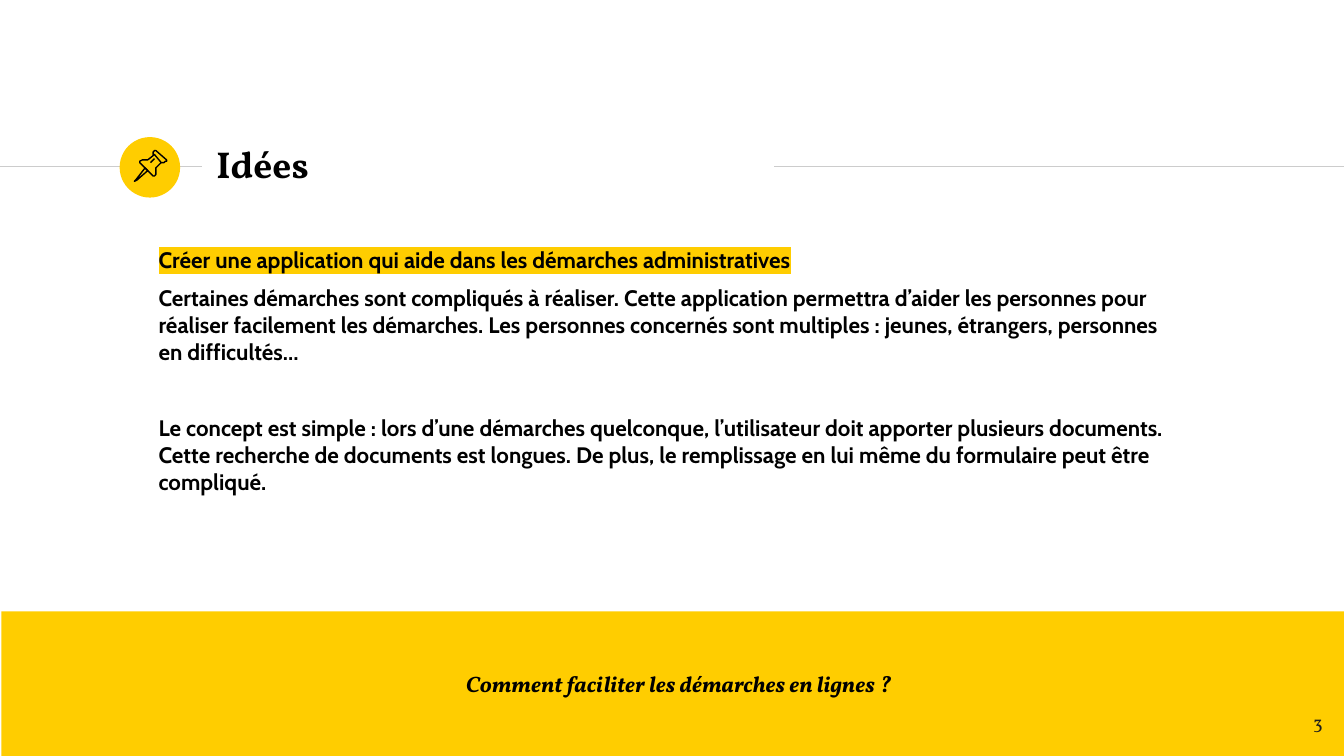
import pptx
import pptx.util
import pptx.dml.color
import pptx.enum.shapes
import pptx.enum.text
import pptx.oxml.ns
import lxml.etree

COLORS = {"yellow": "FFCD00", "rule": "CCCCCC", "ink": "000000", "number": "1D1D1B"}
W = 10
H = W * 9 / 16
RULE_Y = 1.24
BAND_TOP = 4.55

TITLE = "Idées"
IDEAS = [
    ("Créer une application qui aide dans les démarches administratives", {"highlight": "yellow"}),
    ("Certaines démarches sont compliqués à réaliser. Cette application permettra d’aider "
     "les personnes pour réaliser facilement les démarches. Les personnes concernés sont "
     "multiples : jeunes, étrangers, personnes en difficultés…", {}),
    ("Le concept est simple : lors d’une démarches quelconque, l’utilisateur doit apporter "
     "plusieurs documents. Cette recherche de documents est longues. De plus, le remplissage "
     "en lui même du formulaire peut être compliqué.", {"before": 26.5}),
]
QUESTION = "Comment faciliter les démarches en lignes ?"
PAGE = "3"
RULES = [(0, 1.5), (5.76, W)]
PIN_UNIT = 0.01
PIN = {
    "needle": ([(108, 125), (101, 134), (100, 135), (102, 134), (110, 127)], True),
    "head": ([(115, 115), (120, 121), (122, 121), (123, 120), (124, 120),
              (124, 119), (116, 112), (115, 112), (114, 113), (114, 115)], True),
    "body": ([(115, 115), (110, 119), (108, 119), (106, 119), (104, 120),
              (104, 121), (114, 131), (115, 131), (116, 130), (116, 128),
              (116, 125), (120, 121)], False),
    "shine": ([(112, 121), (115, 118)], False),
}

ALIGN = pptx.enum.text.PP_ALIGN
ANCHOR = pptx.enum.text.MSO_ANCHOR
SHAPE = pptx.enum.shapes.MSO_SHAPE
inch = pptx.util.Inches
qn = pptx.oxml.ns.qn


def rgb(name):
    return pptx.dml.color.RGBColor.from_string(COLORS[name])


def place(sp, x, y, w, h, anchor=ANCHOR.TOP):
    sp.left, sp.top, sp.width, sp.height = map(inch, (x, y, w, h))
    tf = sp.text_frame
    tf.word_wrap = True
    tf.auto_size = pptx.enum.text.MSO_AUTO_SIZE.NONE
    tf.vertical_anchor = anchor
    tf.margin_left = tf.margin_right = tf.margin_top = tf.margin_bottom = inch(0.1)
    return tf


def write(p, text, font="Vollkorn", size=12, bold=True, italic=False, color="ink",
          align=ALIGN.LEFT, before=0, after=0, highlight=None):
    p.alignment = align
    p.space_before, p.space_after = pptx.util.Pt(before), pptx.util.Pt(after)
    r = p.add_run()
    r.text = text
    f = r.font
    f.name, f.size, f.bold, f.italic = font, pptx.util.Pt(size), bold, italic
    f.color.rgb = rgb(color)
    if highlight:
        mark = lxml.etree.Element(qn("a:highlight"))
        lxml.etree.SubElement(mark, qn("a:srgbClr"), val=COLORS[highlight])
        r._r.rPr.find(qn("a:solidFill")).addnext(mark)


def unbullet(p):
    pPr = p._p.get_or_add_pPr()
    pPr.set("marL", "0")
    pPr.set("indent", "0")
    lxml.etree.SubElement(pPr, qn("a:buNone"))


def add_filled(s, kind, x, y, w, h):
    sp = s.shapes.add_shape(kind, *map(inch, (x, y, w, h)))
    sp.shadow.inherit = False
    sp.fill.solid()
    sp.fill.fore_color.rgb = rgb("yellow")
    sp.line.fill.background()


def add_rule(s, x1, x2):
    line = s.shapes.add_connector(pptx.enum.shapes.MSO_CONNECTOR.STRAIGHT,
                                  inch(x1), inch(RULE_Y), inch(x2), inch(RULE_Y))
    line.line.color.rgb = rgb("rule")
    line.line.width = pptx.util.Pt(0.75)
    lxml.etree.SubElement(line._element.spPr, qn("a:effectLst"))


def add_stroke(s, points, closed):
    fb = s.shapes.build_freeform(*points[0], scale=inch(PIN_UNIT))
    fb.add_line_segments(points[1:], close=closed)
    sp = fb.convert_to_shape()
    sp.shadow.inherit = False
    sp.fill.background()
    sp.line.color.rgb = rgb("ink")
    sp.line.width = pptx.util.Pt(0.75)


def main():
    prs = pptx.Presentation()
    prs.slide_width, prs.slide_height = inch(W), inch(H)
    s = prs.slides.add_slide(prs.slide_layouts[1])

    for x1, x2 in RULES:
        add_rule(s, x1, x2)
    add_filled(s, SHAPE.OVAL, 0.89, RULE_Y - 0.22, 0.45, 0.45)
    add_filled(s, SHAPE.RECTANGLE, 0.01, BAND_TOP, W - 0.01, H - BAND_TOP)
    for points, closed in PIN.values():
        add_stroke(s, points, closed)

    tf = place(s.shapes.title, 1.51, 0.98, 4.24, 0.48, ANCHOR.MIDDLE)
    write(tf.paragraphs[0], TITLE, size=20)

    tf = place(s.placeholders[1], 1.08, 1.73, 7.83, BAND_TOP - 1.73)
    for i, (text, extra) in enumerate(IDEAS):
        p = tf.add_paragraph() if i else tf.paragraphs[0]
        write(p, text, **{"font": "Cabin", "before": 6, **extra})
        unbullet(p)

    tf = place(s.shapes.add_textbox(0, 0, 0, 0), 9.34, 5.19, 0.6, 0.43)
    write(tf.paragraphs[0], PAGE, size=10, bold=False, color="number", align=ALIGN.RIGHT)

    tf = place(s.shapes.add_textbox(0, 0, 0, 0), 0.76, BAND_TOP, 8.58, H - BAND_TOP, ANCHOR.MIDDLE)
    write(tf.paragraphs[0], QUESTION, italic=True, align=ALIGN.CENTER, before=10, after=10)

    prs.save("out.pptx")


if __name__ == "__main__":
    main()
